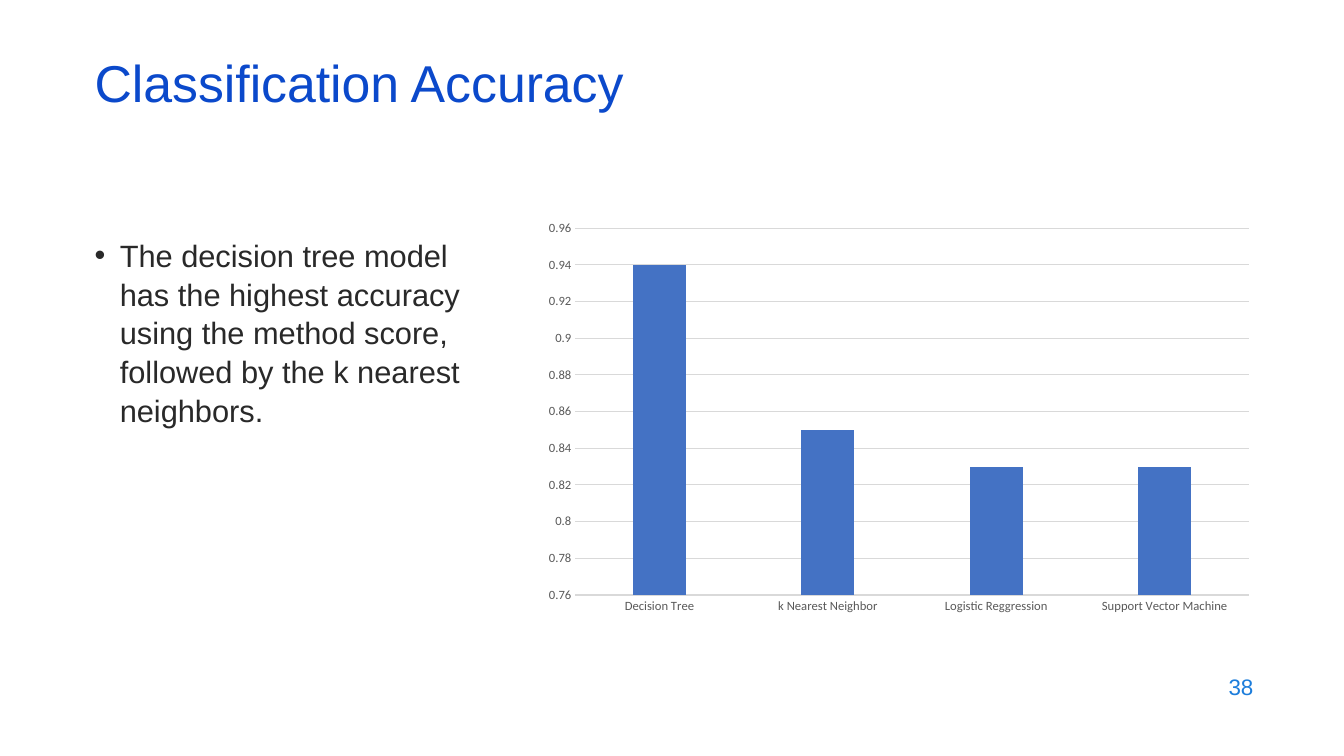
from lxml.etree import SubElement
from pptx import Presentation
from pptx.chart.data import CategoryChartData
from pptx.dml.color import RGBColor
from pptx.enum.chart import XL_CHART_TYPE, XL_TICK_MARK
from pptx.enum.text import MSO_ANCHOR, PP_ALIGN
from pptx.oxml.ns import qn
from pptx.util import Inches, Pt

ACCURACY = {
    "Decision Tree": 0.94,
    "k Nearest Neighbor": 0.85,
    "Logistic Reggression": 0.83,
    "Support Vector Machine": 0.83,
}


def color(hex_code):
    return RGBColor.from_string(hex_code)


def add_text(page, box, text, size, hex_code, anchor=MSO_ANCHOR.MIDDLE):
    """Add a one-paragraph Arial text box and return the paragraph."""
    frame = page.shapes.add_textbox(*map(Inches, box)).text_frame
    frame.word_wrap = True
    frame.vertical_anchor = anchor
    para = frame.paragraphs[0]
    para.text = text
    font = para.runs[0].font
    font.name, font.size = "Arial", Pt(size)
    font.color.rgb = color(hex_code)
    return para


def add_title(page, box):
    para = add_text(page, box, "Classification Accuracy", 37, "0B49CB")
    para.line_spacing = 0.7


def add_finding(page, box):
    para = add_text(
        page, box,
        "The decision tree model has the highest accuracy using the method score, "
        "followed by the k nearest neighbors.",
        22, "292929", MSO_ANCHOR.TOP)
    para.line_spacing = 1.05
    properties = para._p.get_or_add_pPr()
    properties.set("marL", str(Inches(0.25)))
    properties.set("indent", str(Inches(-0.25)))
    SubElement(properties, qn("a:buFont")).set("typeface", "Arial")
    SubElement(properties, qn("a:buChar")).set("char", "•")


def add_page_number(page, box):
    para = add_text(page, box, "38", 16, "1C7DDB")
    para.alignment = PP_ALIGN.RIGHT


def style_axis(axis):
    axis.major_tick_mark = axis.minor_tick_mark = XL_TICK_MARK.NONE
    font = axis.tick_labels.font
    font.name, font.size = "Calibri", Pt(9)
    font.color.rgb = color("595959")


def style_line(line):
    line.width = Pt(0.75)
    line.color.rgb = color("D9D9D9")


def add_accuracy_chart(page, box):
    data = CategoryChartData()
    data.categories = list(ACCURACY)
    data.add_series("Series 1", list(ACCURACY.values()))
    chart = page.shapes.add_chart(
        XL_CHART_TYPE.COLUMN_CLUSTERED, *map(Inches, box), data).chart
    chart.has_legend = chart.has_title = False
    chart.font.name, chart.font.size = "Calibri", Pt(10)
    chart.font.color.rgb = color("000000")

    plot = chart.plots[0]
    plot.vary_by_categories = False
    plot.gap_width, plot.overlap = 219, -27
    fill = plot.series[0].format.fill
    fill.solid()
    fill.fore_color.rgb = color("4472C4")

    models, scores = chart.category_axis, chart.value_axis
    style_axis(models)
    style_line(models.format.line)
    style_axis(scores)
    scores.format.line.fill.background()
    scores.has_major_gridlines = True
    style_line(scores.major_gridlines.format.line)
    scores.minimum_scale, scores.maximum_scale = 0.76, 0.96
    scores.major_unit = 0.02


def main():
    deck = Presentation()
    deck.slide_width, deck.slide_height = Inches(13.33), Inches(7.5)
    page = deck.slides.add_slide(deck.slide_layouts[6])
    add_page_number(page, (9.53, 6.59, 3, 0.44))
    add_finding(page, (0.84, 2.28, 4.06, 4.17))
    add_title(page, (0.84, 0.59, 11.5, 0.6))
    add_accuracy_chart(page, (5.3, 2.11, 7.23, 4.06))
    deck.save("out.pptx")


if __name__ == "__main__":
    main()
